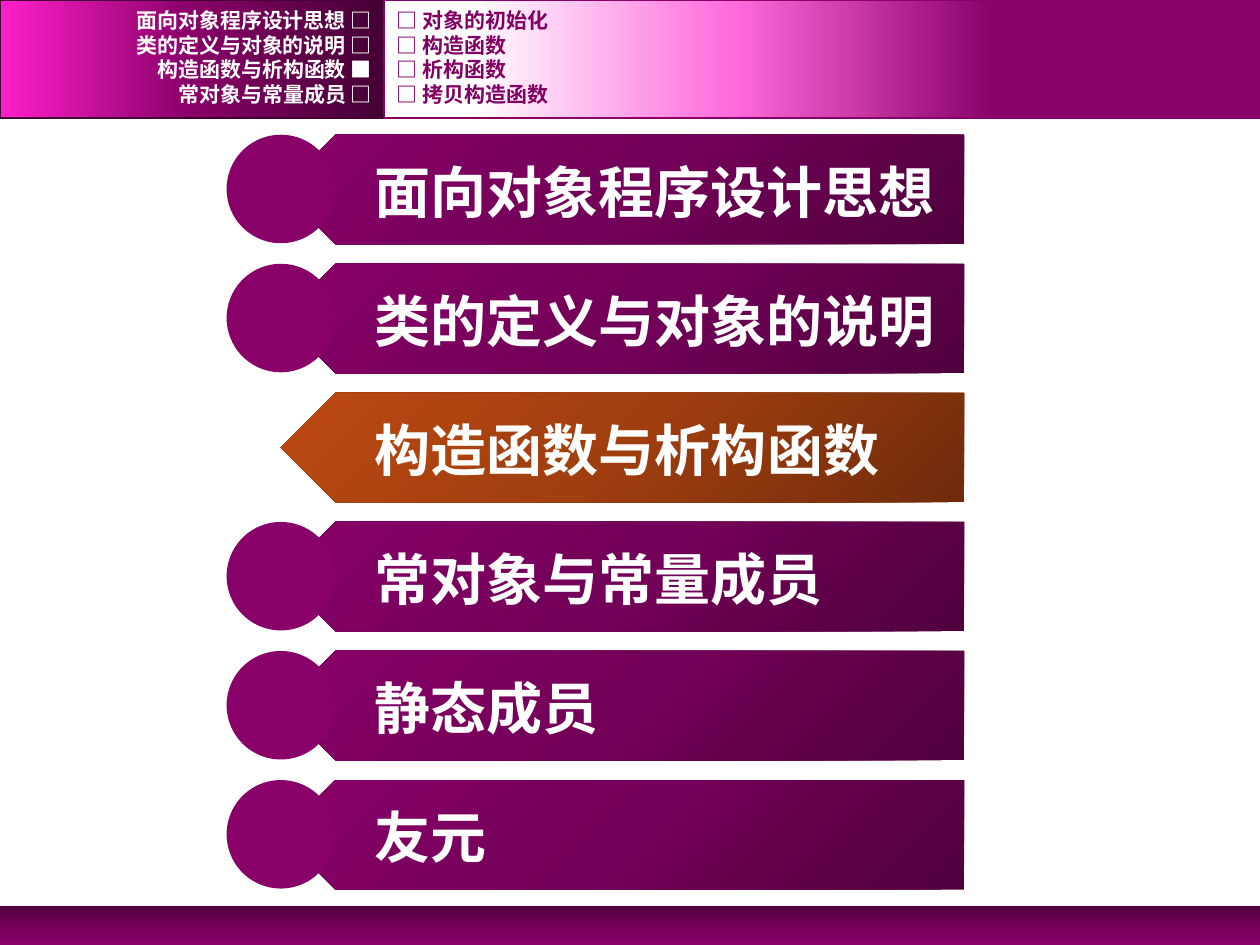
"""Build the agenda slide with its navigation header."""
from copy import deepcopy

from pptx import Presentation
from pptx.dml.color import RGBColor
from pptx.enum.shapes import MSO_SHAPE
from pptx.enum.text import MSO_ANCHOR, PP_ALIGN
from pptx.util import Pt

RECTANGLE, PENTAGON, OVAL = MSO_SHAPE.RECTANGLE, MSO_SHAPE.PENTAGON, MSO_SHAPE.OVAL
TOP, MIDDLE = MSO_ANCHOR.TOP, MSO_ANCHOR.MIDDLE
LEFT, RIGHT = PP_ALIGN.LEFT, PP_ALIGN.RIGHT

WHITE = RGBColor(0xFF, 0xFF, 0xFF)
PURPLE = RGBColor(0x88, 0x00, 0x68)
MID_PURPLE = RGBColor(0x73, 0x00, 0x58)
DARK_PURPLE = RGBColor(0x51, 0x00, 0x3E)
DEEP_PURPLE = RGBColor(0x44, 0x00, 0x34)
TOPIC_PURPLE = RGBColor(0x82, 0x00, 0x64)
MAGENTA = RGBColor(0xFF, 0x1F, 0xCA)
PINK = RGBColor(0xFF, 0x69, 0xDC)
DARK_RUST = RGBColor(0x70, 0x2B, 0x0B)
RUST = RGBColor(0x9F, 0x3E, 0x0F)
ORANGE = RGBColor(0xBD, 0x49, 0x12)

PURPLE_BLEND = [(0, DARK_PURPLE), (0.5, MID_PURPLE), (1, PURPLE)]
ORANGE_BLEND = [(0, DARK_RUST), (0.5, RUST), (1, ORANGE)]
SECTION_BLEND = [(0, DEEP_PURPLE), (0.5, PURPLE), (1, MAGENTA)]
TOPIC_BLEND = [(0.3, PURPLE), (0.6, PINK), (0.9, WHITE)]

AGENDA = ["面向对象程序设计思想", "类的定义与对象的说明", "构造函数与析构函数",
          "常对象与常量成员", "静态成员", "友元"]
TOPICS = ["对象的初始化", "构造函数", "析构函数", "拷贝构造函数"]
CURRENT = 2

SPLIT = 219.6
AGENDA_TOP, AGENDA_PITCH = 77, 73.75
NAV_TOP, NAV_PITCH = 4.3, 14.15


def apply_format(target, values):
    """Set every attribute in values on target."""
    for name, value in values.items():
        setattr(target, name, value)


def place(shape, box):
    """Move and size a shape from a box in points."""
    sides = ("left", "top", "width", "height")
    apply_format(shape, dict(zip(sides, map(Pt, box))))


def add_block(slide, preset, box, outline=None):
    """Add a purple preset shape with an optional outline."""
    block = slide.shapes.add_shape(preset, *map(Pt, box))
    block.shadow.inherit = False
    block.fill.solid()
    block.fill.fore_color.rgb = PURPLE
    if outline is None:
        block.line.fill.background()
    else:
        block.line.color.rgb = outline
        block.line.width = Pt(1)
    return block


def blend(block, stops, angle):
    """Fill a block with a three-colour gradient."""
    block.fill.gradient()
    block.fill.gradient_angle = angle
    stop_list = block._element.spPr.find(".//{*}gsLst")
    stop_list.append(deepcopy(stop_list[-1]))
    for stop, (position, color) in zip(block.fill.gradient_stops, stops):
        stop.position = position
        stop.color.rgb = color


def write_line(holder, text, size, color, anchor, align):
    """Write one formatted line into a text holder."""
    frame = holder.text_frame
    frame.text = text
    apply_format(frame, {"word_wrap": True, "vertical_anchor": anchor})
    line = frame.paragraphs[0]
    line.alignment = align
    apply_format(line.font, {"name": "Courier New", "size": Pt(size), "bold": True})
    line.font.color.rgb = color


def add_frame(slide):
    """Add the header panels and the footer band."""
    blend(add_block(slide, RECTANGLE, (0, 517.7, 720, 22.3)), PURPLE_BLEND, 270)
    sections = add_block(slide, RECTANGLE, (0, 0, SPLIT, 67.7), DEEP_PURPLE)
    blend(sections, SECTION_BLEND, 180)
    topics = add_block(slide, RECTANGLE, (SPLIT, 0, 720 - SPLIT, 67.7), PURPLE)
    blend(topics, TOPIC_BLEND, 180)


def add_agenda_item(slide, index, text):
    """Add an agenda bar, with the current item as the slide title."""
    top = AGENDA_TOP + index * AGENDA_PITCH
    current = index == CURRENT
    bar = add_block(slide, PENTAGON, (160.5, top, 390.5, 62.6))
    bar._element.spPr.get_or_add_xfrm().set("flipH", "1")
    blend(bar, ORANGE_BLEND if current else PURPLE_BLEND, 45)
    if current:
        label = slide.shapes.title
        bar._element.addnext(label._element)
    else:
        add_block(slide, OVAL, (129.5, top, 62, 62))
        label = slide.shapes.add_textbox(0, 0, 0, 0)
    place(label, (207, top + 9.5, 340, 46))
    write_line(label, text, 32, WHITE, TOP, LEFT)


def add_navigation(slide, lines, left, width, color, align):
    """Add a column of small navigation lines."""
    for index, text in enumerate(lines):
        entry = slide.shapes.add_textbox(0, 0, 0, 0)
        place(entry, (left, NAV_TOP + index * NAV_PITCH, width, 14.4))
        write_line(entry, text, 12, color, MIDDLE, align)


def main():
    """Build and save the presentation."""
    deck = Presentation()
    apply_format(deck, {"slide_width": Pt(720), "slide_height": Pt(540)})
    slide = deck.slides.add_slide(deck.slide_layouts.get_by_name("Title Only"))
    add_frame(slide)
    for index, text in enumerate(AGENDA):
        add_agenda_item(slide, index, text)
    sections = [f"{text} {'■' if index == CURRENT else '□'}"
                for index, text in enumerate(AGENDA[:4])]
    add_navigation(slide, sections, 0, SPLIT, WHITE, RIGHT)
    topics = [f"□ {text}" for text in TOPICS]
    add_navigation(slide, topics, SPLIT, 433.4, TOPIC_PURPLE, LEFT)
    deck.save("out.pptx")


if __name__ == "__main__":
    main()
